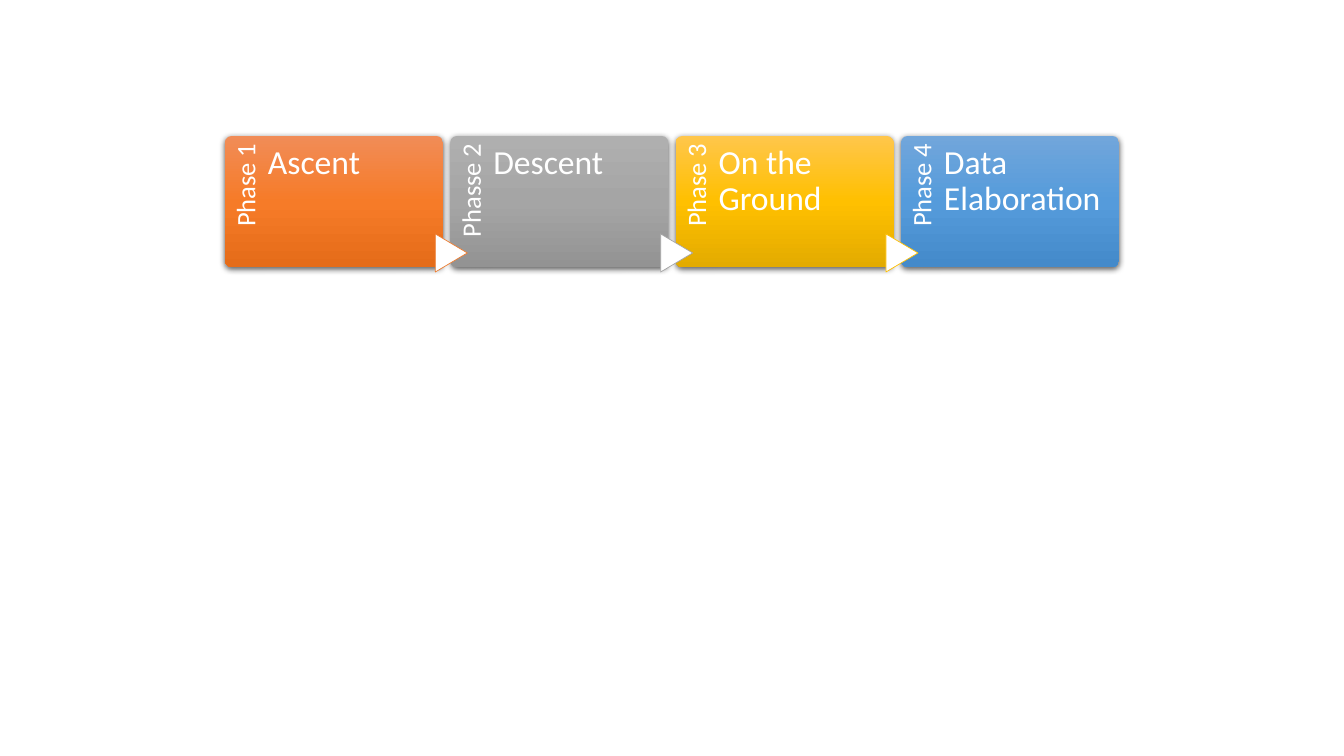
from copy import deepcopy

from lxml import etree
from pptx import Presentation, util as u
from pptx.dml.color import RGBColor
from pptx.enum import shapes, text
from pptx.oxml import ns

SCALE = 12192000 / 1344  # EMU per px
FONT = "Calibri"
COLORS = {
    "white": "FFFFFF",
    "shadow": "000000",
    "orange": "ED7D31",
    "gray": "A5A5A5",
    "gold": "FFC000",
    "blue": "5B9BD5",
}
SHADES = {  # top, middle and bottom of each card
    "orange": ("F18C57", "F67B28", "E56C19"),
    "gray": ("AFAFAF", "A5A5A5", "939393"),
    "gold": ("FFC64B", "FFC000", "E3AB00"),
    "blue": ("71A6DB", "559BDB", "448ACA"),
}
PHASES = [
    ("Phase 1", "Ascent", "orange"),
    ("Phasse 2", "Descent", "gray"),
    ("Phase 3", "On the Ground", "gold"),
    ("Phase 4", "Data Elaboration", "blue"),
]


def px(*vals):
    return [u.Emu(round(v * SCALE)) for v in vals]


def rgb(name):
    return RGBColor.from_string(COLORS[name])


def add_text(slide, words, box, size=24, color="white", align="LEFT",
             turn=0, top=9, right=0):
    label = slide.shapes.add_textbox(*px(*box))
    label.rotation = turn
    frame = label.text_frame
    frame.word_wrap = True
    frame.margin_left = frame.margin_bottom = 0
    frame.margin_top, frame.margin_right = px(top, right)
    para = frame.paragraphs[0]
    para.alignment = getattr(text.PP_ALIGN, align)
    para.line_spacing = 0.9
    run = para.add_run()
    run.text = words
    run.font.name = FONT
    run.font.size = u.Pt(size)
    run.font.color.rgb = rgb(color)


def add_shadow(shape):
    shape.shadow.inherit = False
    effects = shape._element.spPr.find(ns.qn("a:effectLst"))
    outer = etree.SubElement(
        effects, ns.qn("a:outerShdw"), blurRad=str(u.Pt(4.5)),
        dist=str(u.Pt(1.5)), dir="5400000", algn="ctr", rotWithShape="0")
    color = etree.SubElement(outer, ns.qn("a:srgbClr"), val=COLORS["shadow"])
    etree.SubElement(color, ns.qn("a:alpha"), val="63000")


def add_card(slide, box, shades):
    card = slide.shapes.add_shape(
        shapes.MSO_SHAPE.ROUNDED_RECTANGLE, *px(*box))
    card.adjustments[0] = 0.05
    card.line.fill.background()
    card.fill.gradient()
    card.fill.gradient_angle = 270
    # A new gradient has two stops; the card needs three
    stops = card._element.spPr.find(
        ns.qn("a:gradFill")).find(ns.qn("a:gsLst"))
    stops.append(deepcopy(stops[0]))
    for i, (stop, shade) in enumerate(zip(card.fill.gradient_stops, shades)):
        stop.position = i / 2
        stop.color.rgb = RGBColor.from_string(shade)
    add_shadow(card)


def add_arrow(slide, box, edge):
    arrow = slide.shapes.add_shape(
        shapes.MSO_SHAPE.FLOWCHART_EXTRACT, *px(*box))
    arrow.rotation = 90
    arrow.shadow.inherit = False
    arrow.fill.solid()
    arrow.fill.fore_color.rgb = rgb("white")
    arrow.line.color.rgb = rgb(edge)
    arrow.line.width = u.Pt(0.5)


def add_phase(slide, box, phase, prior):
    x, y, w, h = box
    tab, title, hue = phase
    add_card(slide, box, SHADES[hue])
    # Phase number, read upwards along the left edge
    add_text(slide, tab, (x - 32, y + 31, 108, 43), size=19,
             align="RIGHT", turn=270, top=7, right=9)
    # Arrow from the phase before
    if prior:
        add_arrow(slide, (x - 18, y + 101, 38, 32), prior)
    add_text(slide, title, (x + 43, y, w - 56, h))


def add_flow(slide, box, card=218):
    x, y, w, h = box
    step = (w - card) / (len(PHASES) - 1)
    prior = None
    for i, phase in enumerate(PHASES):
        add_phase(slide, (x + i * step, y, card, h), phase, prior)
        prior = phase[2]


def main():
    deck = Presentation()
    deck.slide_width, deck.slide_height = px(1344, 756)
    slide = deck.slides.add_slide(deck.slide_layouts[6])
    add_flow(slide, (225, 136, 894, 131))
    deck.save("out.pptx")


if __name__ == "__main__":
    main()
